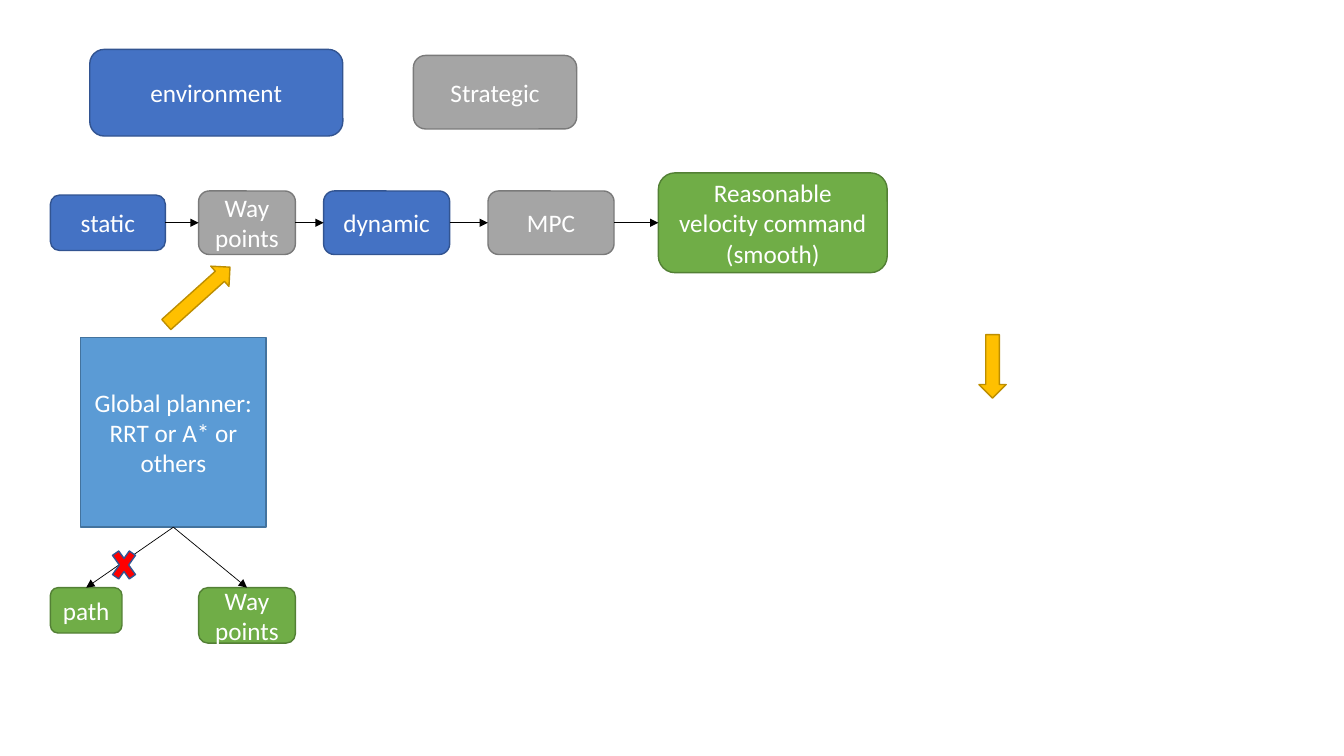
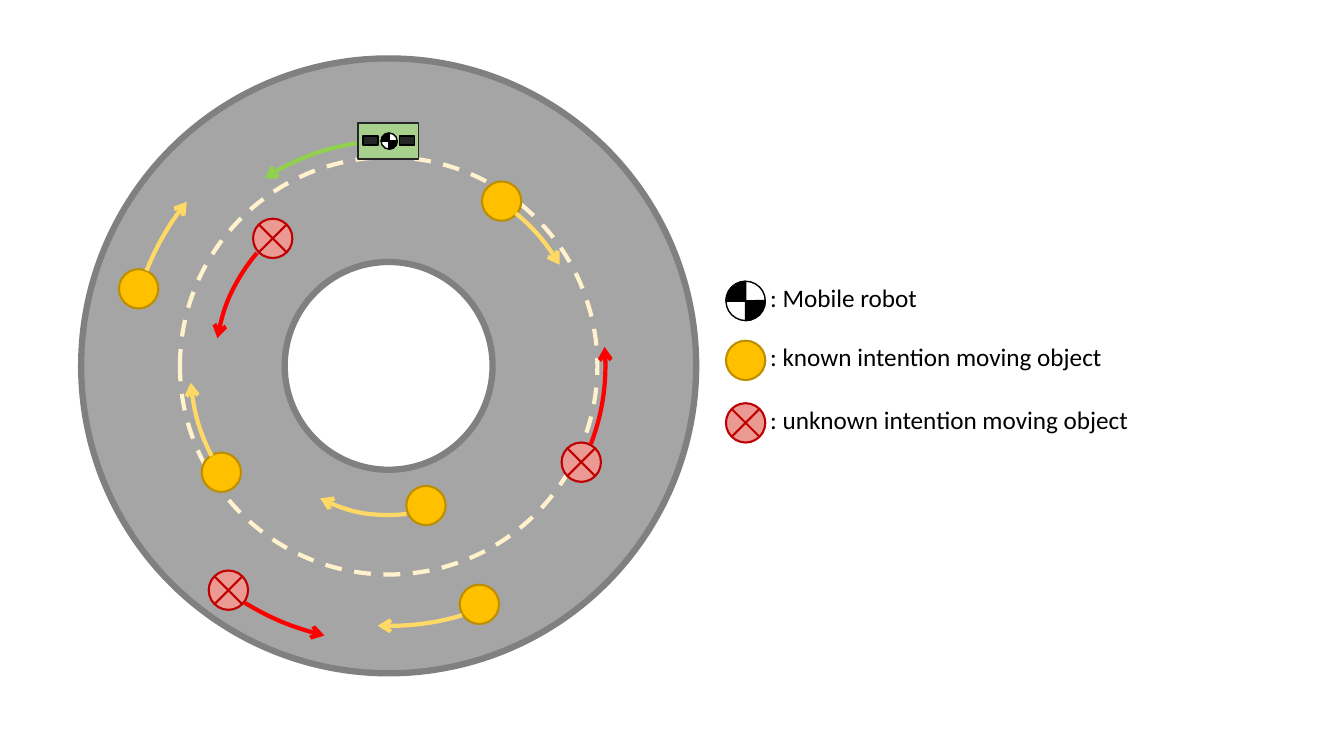
from lxml import etree
from pptx import Presentation
from pptx import util as u
from pptx.dml.color import RGBColor
from pptx.enum import dml, shapes, text
from pptx.oxml import ns

KIND = shapes.MSO_SHAPE
WHITE = RGBColor(0xFF, 0xFF, 0xFF)
BLACK = RGBColor(0, 0, 0)
CHARCOAL = RGBColor(0x26, 0x26, 0x26)
GREY = RGBColor(0xA5, 0xA5, 0xA5)
GREY_EDGE = RGBColor(0x7A, 0x7A, 0x7A)
ROAD_EDGE = RGBColor(0x80, 0x80, 0x80)
BLUE = RGBColor(0x44, 0x72, 0xC4)
BLUE_EDGE = RGBColor(0x32, 0x54, 0x91)
SKY = RGBColor(0x5B, 0x9B, 0xD5)
SKY_EDGE = RGBColor(0x43, 0x73, 0x9E)
GREEN = RGBColor(0x70, 0xAD, 0x47)
GREEN_EDGE = RGBColor(0x53, 0x80, 0x35)
GOLD = RGBColor(0xFF, 0xC0, 0x00)
GOLD_EDGE = RGBColor(0xBD, 0x8E, 0x00)
RED = RGBColor(0xFF, 0x00, 0x00)
DARK_RED = RGBColor(0xC0, 0x00, 0x00)
PINK = RGBColor(0xEA, 0x9A, 0x92)
CREAM = RGBColor(0xFF, 0xF2, 0xCC)
PALE_GOLD = RGBColor(0xFF, 0xD9, 0x66)
LIME = RGBColor(0x92, 0xD0, 0x50)
PALE_GREEN = RGBColor(0xA9, 0xD1, 0x8E)

INPUT = dict(fill=BLUE, edge=BLUE_EDGE)
STRATEGY = dict(fill=GREY, edge=GREY_EDGE)
RESULT = dict(fill=GREEN, edge=GREEN_EDGE)
GLOBAL = dict(fill=SKY, edge=SKY_EDGE)
POINTER = dict(fill=GOLD, edge=GOLD_EDGE)
KNOWN = dict(fill=GOLD, edge=GOLD_EDGE, weight=1.5)
UNKNOWN = dict(fill=PINK, edge=DARK_RED, weight=1.5)
FONT = dict(name="Calibri", size=u.Pt(18))


def add_part(slide, kind, box, fill=None, edge=BLACK, weight=1, label="", adjust=()):
    """Add a flat preset shape; box is left, top, width, height in inches."""
    part = slide.shapes.add_shape(kind, *map(u.Inches, box))
    part.shadow.inherit = False
    if fill is None:
        part.fill.background()
    else:
        part.fill.solid()
        part.fill.fore_color.rgb = fill
    part.line.color.rgb = edge
    part.line.width = u.Pt(weight)
    for index, value in enumerate(adjust):
        part.adjustments[index] = value
    if label:
        write_text(part.text_frame, label, WHITE, text.PP_ALIGN.CENTER)
        part.text_frame.vertical_anchor = text.MSO_ANCHOR.MIDDLE
    return part


def write_text(frame, label, color, align):
    frame.word_wrap = True
    frame.text = label
    for paragraph in frame.paragraphs:
        paragraph.alignment = align
        for attribute, value in FONT.items():
            setattr(paragraph.font, attribute, value)
        paragraph.font.color.rgb = color


prs = Presentation()
prs.slide_width, prs.slide_height = u.Inches(13.33), u.Inches(7.5)
blank = prs.slide_layouts[6]

# Planning pipeline
pipeline = prs.slides.add_slide(blank)
ROUND = KIND.ROUNDED_RECTANGLE
add_part(pipeline, ROUND, (0.89, 0.49, 2.51, 0.86), label="environment", **INPUT)
add_part(pipeline, ROUND, (4.1, 0.55, 1.62, 0.73), label="Strategic", **STRATEGY)

FLOW_MIDDLE = 2.21
flow = [
    ("static", 0.5, 1.14, 0.55, INPUT),
    ("Way points", 1.97, 0.96, 0.63, STRATEGY),
    ("dynamic", 3.21, 1.25, 0.63, INPUT),
    ("MPC", 4.84, 1.25, 0.63, STRATEGY),
    ("Reasonable velocity command\n(smooth)", 6.53, 2.27, 0.99, RESULT),
]
steps = [add_part(pipeline, ROUND, (left, FLOW_MIDDLE - height / 2, width, height),
                  label=label, **style)
         for label, left, width, height, style in flow]

add_part(pipeline, KIND.DOWN_ARROW, (1.83, 2.51, 0.27, 0.85), **POINTER).rotation = 228
add_part(pipeline, KIND.DOWN_ARROW, (9.71, 3.32, 0.27, 0.63), **POINTER)
planner = add_part(pipeline, KIND.RECTANGLE, (0.8, 3.35, 1.84, 1.88),
                   label="Global planner:\nRRT or A* or others", **GLOBAL)
outputs = [add_part(pipeline, ROUND, (left, 5.83, width, height), label=label, **RESULT)
           for label, left, width, height in [("path", 0.5, 0.71, 0.45),
                                              ("Way points", 1.97, 0.96, 0.55)]]

TOP, LEFT, BOTTOM, RIGHT = range(4)
links = [(start, RIGHT, end, LEFT) for start, end in zip(steps, steps[1:])]
links += [(planner, BOTTOM, output, TOP) for output in outputs]
for start, start_side, end, end_side in links:
    link = pipeline.shapes.add_connector(shapes.MSO_CONNECTOR.STRAIGHT, 0, 0, 0, 0)
    link.begin_connect(start, start_side)
    link.end_connect(end, end_side)
    link.line.color.rgb = BLACK
    link.line.width = u.Pt(0.5)
    properties = link._element.spPr
    etree.SubElement(properties.get_or_add_ln(), ns.qn("a:tailEnd"), type="triangle")
    etree.SubElement(properties, ns.qn("a:effectLst"))
add_part(pipeline, KIND.MATH_MULTIPLY, (1.07, 5.38, 0.32, 0.45), fill=RED, edge=BLUE_EDGE)

# Roundabout with moving objects
roundabout = prs.slides.add_slide(blank)
CENTER_X, CENTER_Y = 3.855, 3.63
OBJECT = 0.39


def ring_box(radius):
    return CENTER_X - radius, CENTER_Y - radius, 2 * radius, 2 * radius


add_part(roundabout, KIND.DONUT, ring_box(3.05), fill=GREY, edge=ROAD_EDGE, weight=4.5,
         adjust=[0.331])
lane = add_part(roundabout, KIND.OVAL, ring_box(2.07), edge=CREAM, weight=3)
lane.line.dash_style = dml.MSO_LINE.DASH

# Radius, start and end in degrees, arrowhead end, colour, object's left and top
motions = [
    (1.72, 189.2, 220.6, "headEnd", RED, (2.51, 2.17)),
    (2.15, 355, 21.1, "headEnd", RED, (5.57, 4.39)),
    (2.75, 103.4, 121.3, "headEnd", RED, (2.07, 5.66)),
    (1.97, 153, 175.1, "tailEnd", PALE_GOLD, (2, 4.49)),
    (1.48, 83.1, 117.3, "tailEnd", PALE_GOLD, (4.03, 4.82)),
    (1.97, 309.8, 329.4, "tailEnd", PALE_GOLD, (4.78, 1.8)),
    (2.58, 201.5, 219.1, "tailEnd", PALE_GOLD, (1.18, 2.67)),
    (2.58, 73.6, 92.4, "tailEnd", PALE_GOLD, (4.56, 5.8)),
    (2.23, 236.5, 261.8, "headEnd", LIME, None),
]
objects = {RED: (KIND.FLOWCHART_SUMMING_JUNCTION, UNKNOWN), PALE_GOLD: (KIND.OVAL, KNOWN)}
DEGREE = 0.6  # adjustment units per degree
for radius, start, end, arrow_end, color, corner in motions:
    if corner:
        kind, style = objects[color]
        add_part(roundabout, kind, (*corner, OBJECT, OBJECT), **style)
    course = add_part(roundabout, KIND.ARC, ring_box(radius), edge=color, weight=3,
                      adjust=[start * DEGREE, end * DEGREE])
    etree.SubElement(course._element.spPr.get_or_add_ln(), ns.qn("a:" + arrow_end),
                     type="arrow")

add_part(roundabout, KIND.RECTANGLE, (3.55, 1.22, 0.6, 0.36), fill=PALE_GREEN, edge=CHARCOAL)
for wheel_left in (3.6, 3.96):
    add_part(roundabout, KIND.RECTANGLE, (wheel_left, 1.35, 0.15, 0.09), fill=CHARCOAL)

LEGEND_LEFT = 7.2
for left, top, size in [(3.78, 1.32, 0.16), (LEGEND_LEFT, 2.79, OBJECT)]:
    robot_box = left, top, size, size
    add_part(roundabout, KIND.FLOWCHART_OR, robot_box, fill=WHITE)
    for turn in (0, 180):
        quarter = add_part(roundabout, KIND.PIE, robot_box, fill=BLACK,
                           adjust=[178.7 * DEGREE, 270 * DEGREE])
        quarter.rotation = turn

legend = [
    (": Mobile robot", 2.79, 1.97, None),
    (": known intention moving object", 3.38, 3.7, PALE_GOLD),
    (": unknown intention moving object", 4, 4.31, RED),
]
for meaning, top, width, color in legend:
    if color:
        kind, style = objects[color]
        add_part(roundabout, kind, (LEGEND_LEFT, top, OBJECT, OBJECT), **style)
    caption = roundabout.shapes.add_textbox(
        *map(u.Inches, (LEGEND_LEFT + 0.34, top - 0.04, width, 0.4)))
    write_text(caption.text_frame, meaning, BLACK, text.PP_ALIGN.LEFT)
    caption.text_frame.auto_size = text.MSO_AUTO_SIZE.SHAPE_TO_FIT_TEXT

prs.save("out.pptx")
